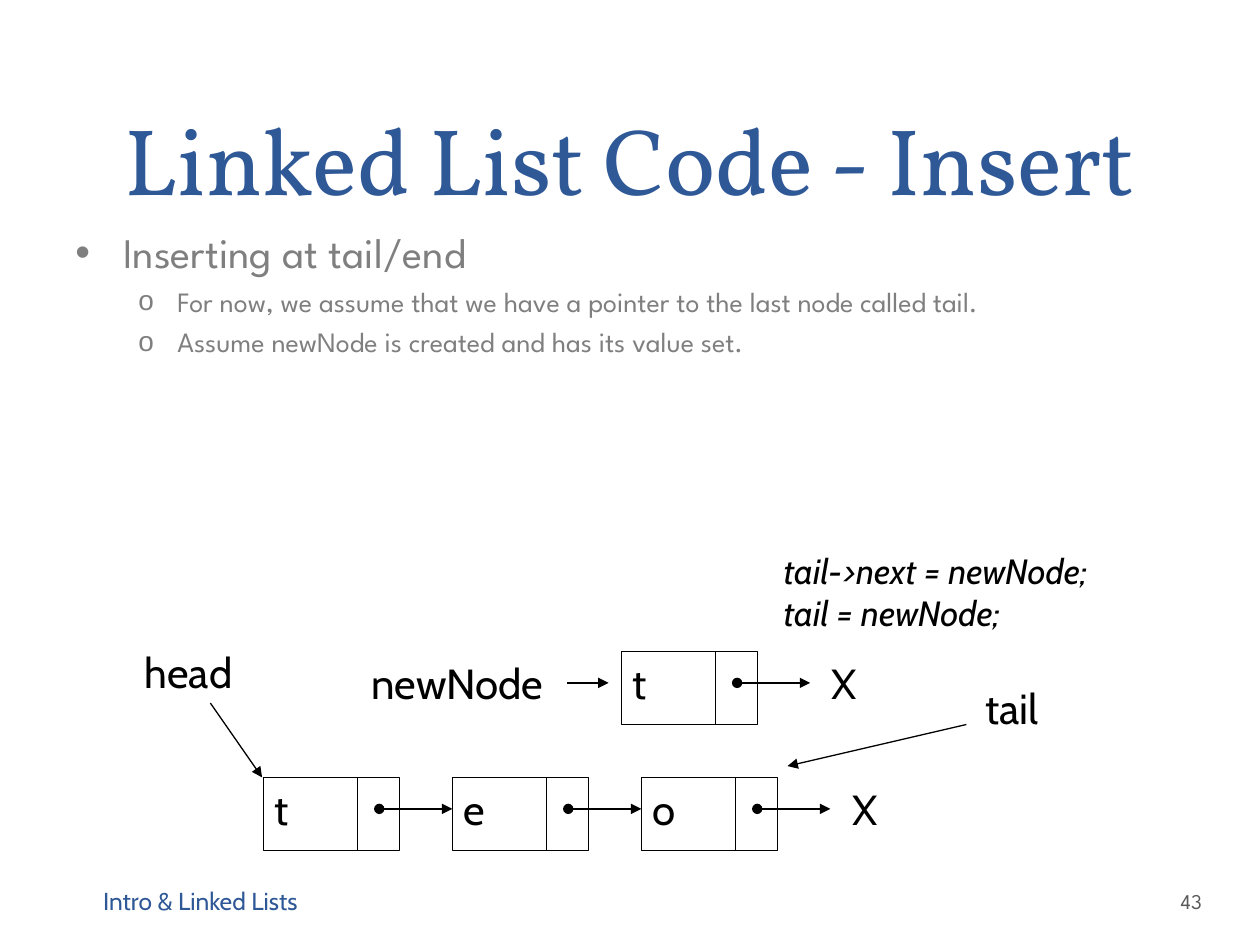
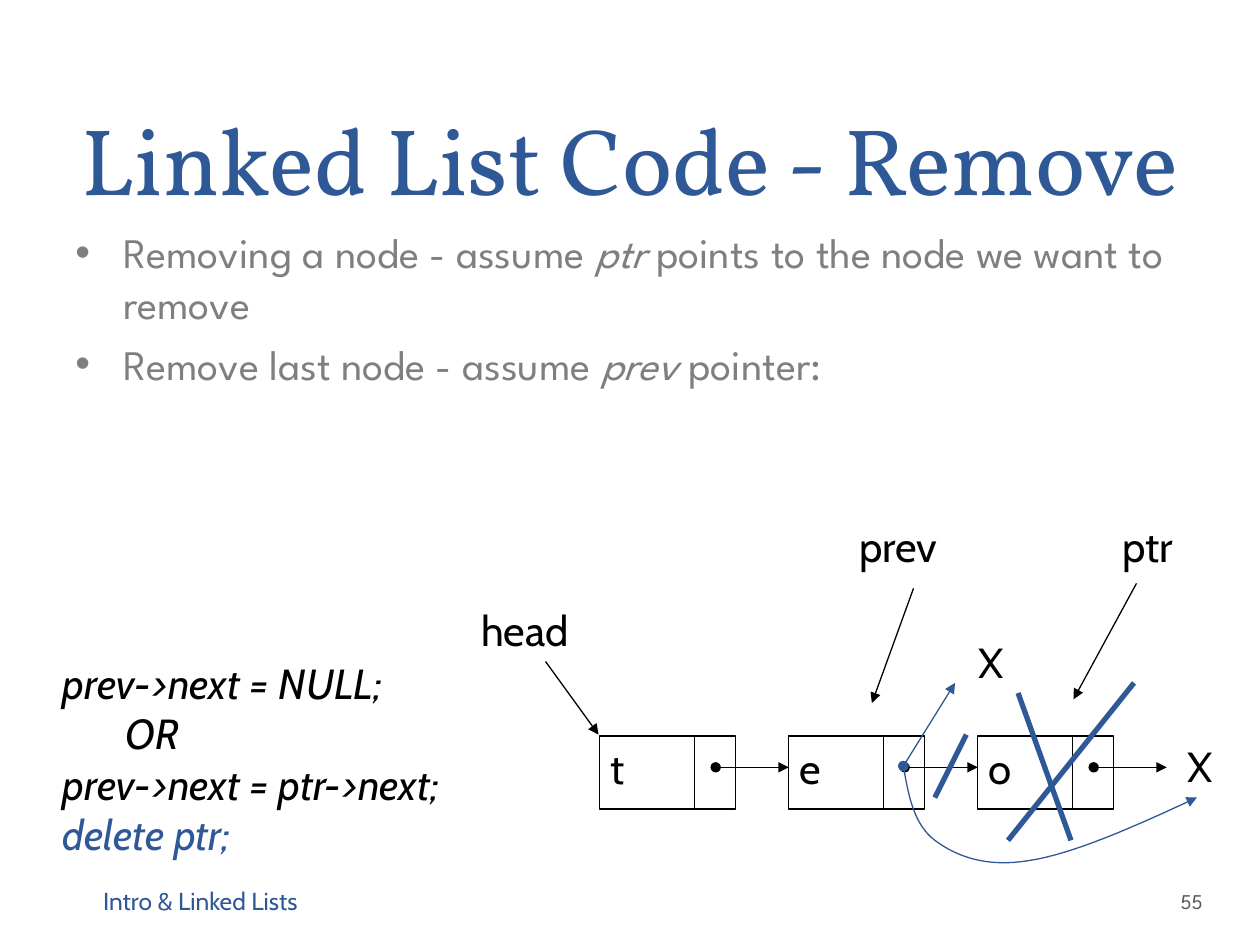
import pptx
import pptx.util
import pptx.dml.color
import pptx.enum.shapes
import pptx.enum.text
import pptx.oxml.ns
from lxml import etree

Inches = pptx.util.Inches
Pt = pptx.util.Pt
RGB = pptx.dml.color.RGBColor.from_string
qn = pptx.oxml.ns.qn
ANCHOR = pptx.enum.text.MSO_ANCHOR
FIT = pptx.enum.text.MSO_AUTO_SIZE
SHAPE = pptx.enum.shapes.MSO_SHAPE
STRAIGHT = pptx.enum.shapes.MSO_CONNECTOR.STRAIGHT

HUES = {"blue": "2F5897", "gray": "7F7F7F", "dark": "595959", "black": "000000"}
CABIN, SPARTAN, SERIF = "Cabin", "League Spartan", "Vollkorn"


def write(slide, at, lines, size=24, hue="black", face=CABIN, slant=None):
    """Add an unwrapped text box with one paragraph per line."""
    box = slide.shapes.add_textbox(*map(Inches, at))
    frame = box.text_frame
    frame.word_wrap = False
    frame.auto_size = FIT.SHAPE_TO_FIT_TEXT
    frame.text = lines
    for para in frame.paragraphs:
        para.font.size = Pt(size)
        para.font.name = face
        para.font.italic = slant
        para.font.color.rgb = RGB(HUES[hue])
    return frame


def style(shape, hue="black", width=0.75, head=None, tail=None):
    """Set a line's colour, width and ends, with no shadow."""
    shape.line.color.rgb = RGB(HUES[hue])
    shape.line.width = Pt(width)
    ln = shape.line._get_or_add_ln()
    for tag, kind in (("a:headEnd", head), ("a:tailEnd", tail)):
        if kind:
            etree.SubElement(ln, qn(tag), type=kind)
    if shape._element.spPr.find(qn("a:effectLst")) is None:
        etree.SubElement(shape._element.spPr, qn("a:effectLst"))


# Bullet levels: mark, left margin, hanging indent, space before, size
LEVELS = [("•", 0.38, 0.38, 6, 24), ("o", 0.81, 0.31, 4, 16)]

# Bullets are (level, text), with italics between asterisks
# Labels are (text, left, top, width); nodes are (letter, left, top)
# Lines are (x1, y1, x2, y2, hue, width, head, tail)
ARROW = ("black", 0.75, None, "triangle")
CROSS = ("blue", 3, None, None)
PAGES = [
    {
        "title": "Linked List Code - Insert",
        "page": "43",
        "points": [
            (0, "Inserting at tail/end"),
            (1, "For now, we assume that we have a pointer to the last node called tail."),
            (1, "Assume newNode is created and has its value set."),
        ],
        "code": ((6.12, 4.31, 2.89, 0.77), 20, "tail->next = newNode;\ntail = newNode;"),
        "labels": [("head", 1.05, 5.08, 0.98), ("X", 6.67, 6.17, 0.39),
                   ("newNode", 2.85, 5.17, 1.7), ("X", 6.5, 5.17, 0.39),
                   ("tail", 7.72, 5.37, 0.68)],
        "nodes": [(c, 2.09 + 1.5 * i, 6.17) for i, c in enumerate("teo")]
        + [("t", 4.93, 5.17)],
        "lines": [(1.67, 5.58, 2.08, 6.17, *ARROW),
                  (4.5, 5.42, 4.83, 5.42, *ARROW),
                  (7.67, 5.75, 6.25, 6.08, *ARROW)],
    },
    {
        "title": "Linked List Code - Remove",
        "page": "55",
        "points": [
            (0, "Removing a node - assume *ptr* points to the node we want to remove"),
            (0, "Remove last node - assume *prev* pointer:"),
        ],
        "code": ((0.4, 5.17, 3.58, 1.7), 24,
                 "prev->next = NULL;\n\tOR\nprev->next = ptr->next;\ndelete ptr;"),
        "labels": [("head", 3.72, 4.75, 0.98), ("X", 9.33, 5.83, 0.39),
                   ("ptr", 8.81, 4.08, 0.66), ("prev", 6.72, 4.08, 0.9),
                   ("X", 7.67, 5, 0.39)],
        "nodes": [(c, 4.76 + 1.5 * i, 5.84) for i, c in enumerate("teo")],
        "lines": [(4.33, 5.25, 4.75, 5.83, *ARROW),
                  (9.02, 4.63, 8.52, 5.55, *ARROW),
                  (7.25, 4.67, 6.92, 5.58, *ARROW),
                  (7.17, 6.08, 7.58, 5.42, "blue", 0.75, "oval", "triangle"),
                  (7.67, 5.83, 7.42, 6.33, *CROSS),
                  (9, 5.42, 8, 6.67, *CROSS),
                  (8.08, 5.5, 8.5, 6.67, *CROSS)],
    },
]

deck = pptx.Presentation()
deck.slide_width, deck.slide_height = Inches(10), Inches(7.5)

for page in PAGES:
    slide = deck.slides.add_slide(deck.slide_layouts[5])

    # Title
    title = slide.shapes.title
    title.left, title.top, title.width, title.height = map(Inches, (0.5, 0, 9, 1.75))
    frame = title.text_frame
    frame.text = page["title"]
    frame.word_wrap = True
    frame.auto_size = FIT.NONE
    frame.vertical_anchor = ANCHOR.BOTTOM
    para = frame.paragraphs[0]
    para.alignment = pptx.enum.text.PP_ALIGN.CENTER
    para.line_spacing = Pt(58)
    para.font.size, para.font.name = Pt(54), SERIF
    para.font.color.rgb = RGB(HUES["blue"])

    # Bullets
    body = slide.shapes.add_textbox(*map(Inches, (0.5, 1.75, 9, 4.95))).text_frame
    body.word_wrap = True
    for i, (level, text) in enumerate(page["points"]):
        para = body.add_paragraph() if i else body.paragraphs[0]
        mark, left, hang, gap, size = LEVELS[level]
        para.level = level
        props = para._p.get_or_add_pPr()
        props.set("marL", str(Inches(left)))
        props.set("indent", str(-Inches(hang)))
        if i:
            para.space_before = Pt(gap)
        tint = etree.SubElement(props, qn("a:buClr"))
        etree.SubElement(tint, qn("a:srgbClr"), val=HUES["gray"])
        etree.SubElement(props, qn("a:buFont"), typeface="Arial")
        etree.SubElement(props, qn("a:buChar"), char=mark)
        para.font.size, para.font.name = Pt(size), SPARTAN
        para.font.color.rgb = RGB(HUES["gray"])
        for j, part in enumerate(text.split("*")):
            run = para.add_run()
            run.text = part
            if j % 2:
                run.font.italic = True

    # Footer and page number
    foot = write(slide, (0.72, 6.95, 3.11, 0.4), "Intro & Linked Lists", 14, "blue")
    count = write(slide, (9.34, 6.95, 0.61, 0.4), page["page"], 12, "dark", SPARTAN)
    count.margin_left, count.margin_right = Inches(0.03), Inches(0.05)
    for frame in (foot, count):
        frame.word_wrap = True
        frame.auto_size = FIT.NONE
        frame.vertical_anchor = ANCHOR.MIDDLE

    # Code and labels
    at, size, text = page["code"]
    code = write(slide, at, text, size, slant=True)
    for text, x, y, wide in page["labels"]:
        write(slide, (x, y, wide, 0.5), text)

    # List nodes: box, letter, divider and pointer
    lines = []
    for text, x, y in page["nodes"]:
        cell = slide.shapes.add_shape(SHAPE.RECTANGLE, *map(Inches, (x, y, 1.08, 0.58)))
        cell.fill.background()
        cell.shadow.inherit = False
        style(cell)
        write(slide, (x - 0.01, y, 0.32 if text == "t" else 0.39, 0.5), text)
        lines += [(x + 0.75, y, x + 0.75, y + 0.58, "black", 0.75, None, None),
                  (x + 0.92, y + 0.25, x + 1.5, y + 0.25, "black", 0.75, "oval", "triangle")]

    # Lines and arrows
    for *ends, hue, width, head, tail in lines + page["lines"]:
        link = slide.shapes.add_connector(STRAIGHT, *map(Inches, ends))
        style(link, hue, width, head, tail)

# Last code line on the remove slide
code.paragraphs[-1].font.color.rgb = RGB(HUES["blue"])

# Curved pointer past the removed node, traced along its Bezier parts
CURVE = [(7.17, 6.08), (7.21, 6.31), (7.25, 6.54), (7.42, 6.67), (7.58, 6.79),
         (7.82, 6.89), (8.17, 6.83), (8.51, 6.78), (9.01, 6.56), (9.5, 6.33)]
STEPS = 16
dots = []
for i in range(0, 9, 3):
    for step in range(1, STEPS + 1):
        t = step / STEPS
        mix = ((1 - t) ** 3, 3 * t * (1 - t) ** 2, 3 * t * t * (1 - t), t ** 3)
        dots.append([Inches(sum(m * p[axis] for m, p in zip(mix, CURVE[i:i + 4])))
                     for axis in (0, 1)])
path = slide.shapes.build_freeform(*map(Inches, CURVE[0]))
path.add_line_segments(dots, close=False)
curve = path.convert_to_shape()
curve.fill.background()
curve.shadow.inherit = False
style(curve, "blue", head="oval", tail="triangle")

deck.save("out.pptx")
